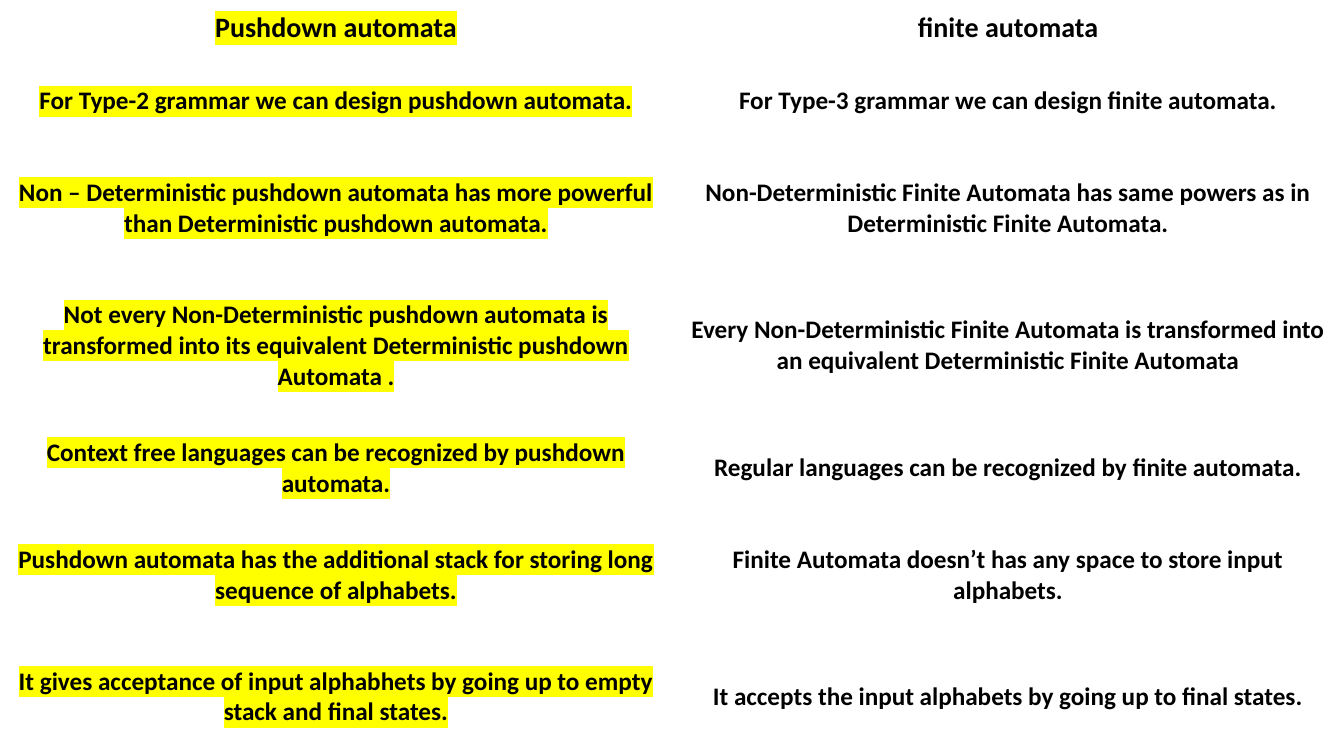
from lxml.etree import Element, SubElement
from pptx import Presentation
from pptx.dml.color import RGBColor
from pptx.enum.dml import MSO_PATTERN
from pptx.enum.text import MSO_ANCHOR, PP_ALIGN
from pptx.oxml.ns import qn
from pptx.util import Inches, Pt

HUES = {"ink": "000000", "paper": "FFFFFF", "mark": "FFFF00", "back": "4472C4"}
WIDTH, HEIGHT = 13.33, 7.5
ROWS = [
    (0.55, "Pushdown automata", "finite automata"),
    (0.91, "For Type-2 grammar we can design pushdown automata.",
     "For Type-3 grammar we can design finite automata."),
    (1.21, "Non – Deterministic pushdown automata has more powerful than Deterministic pushdown automata.",
     "Non-Deterministic Finite Automata has same powers as in Deterministic Finite Automata."),
    (1.52, "Not every Non-Deterministic pushdown automata is transformed into its equivalent Deterministic pushdown Automata .",
     "Every Non-Deterministic Finite Automata is transformed into an equivalent Deterministic Finite Automata"),
    (0.91, "Context free languages can be recognized by pushdown automata.",
     "Regular languages can be recognized by finite automata."),
    (1.21, "Pushdown automata has the additional stack for storing long sequence of alphabets.",
     "Finite Automata doesn’t has any space to store input alphabets."),
    (1.21, "It gives acceptance of input alphabhets by going up to empty stack and final states.",
     "It accepts the input alphabets by going up to final states."),
]


class Board:
    font = "Calibri"

    def __init__(self, slide):
        self.slide = slide

    def hue(self, name):
        return RGBColor.from_string(HUES[name])

    def back(self):
        fill = self.slide.background.fill
        fill.patterned()
        fill.pattern = MSO_PATTERN.PERCENT_75
        fill.fore_color.rgb = self.hue("back")
        fill.back_color.rgb = self.hue("paper")

    def mark(self, run):
        light = Element(qn("a:highlight"))
        SubElement(light, qn("a:srgbClr"), val=HUES["mark"])
        run._r.rPr.find(qn("a:solidFill")).addnext(light)

    def cell(self, cell, text, size, pad, marked):
        cell.fill.solid()
        cell.fill.fore_color.rgb = self.hue("paper")
        cell.vertical_anchor = MSO_ANCHOR.MIDDLE
        cell.margin_left = cell.margin_right = Inches(0.1)
        cell.margin_top = cell.margin_bottom = Inches(pad)
        cell.text_frame.text = text
        para = cell.text_frame.paragraphs[0]
        para.alignment = PP_ALIGN.CENTER
        run = para.runs[0]
        run.font.name = self.font
        run.font.size = Pt(size)
        run.font.bold = True
        run.font.color.rgb = self.hue("ink")
        if marked:
            self.mark(run)

    def table(self, rows):
        high = sum(row[0] for row in rows)
        frame = self.slide.shapes.add_table(
            len(rows), 2, 0, 0, Inches(WIDTH), Inches(high))
        grid = frame.table
        for r, (tall, *texts) in enumerate(rows):
            grid.rows[r].height = Inches(tall)
            size, pad = (18, 0.14) if r else (20, 0.1)
            for c, text in enumerate(texts):
                self.cell(grid.cell(r, c), text, size, pad, c == 0)


def main():
    deck = Presentation()
    deck.slide_width = Inches(WIDTH)
    deck.slide_height = Inches(HEIGHT)
    board = Board(deck.slides.add_slide(deck.slide_layouts[6]))
    board.back()
    board.table(ROWS)
    deck.save("out.pptx")


if __name__ == "__main__":
    main()
